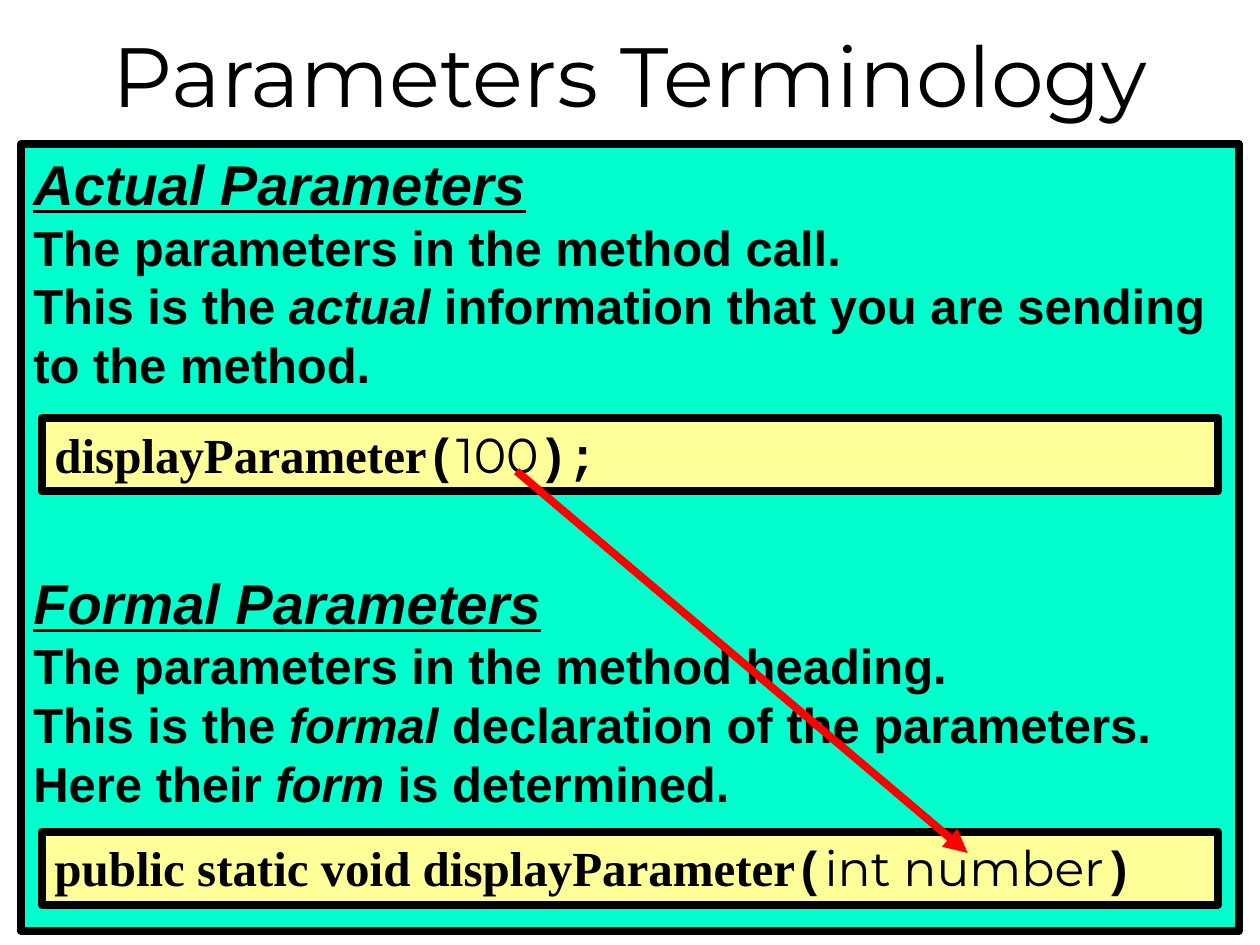
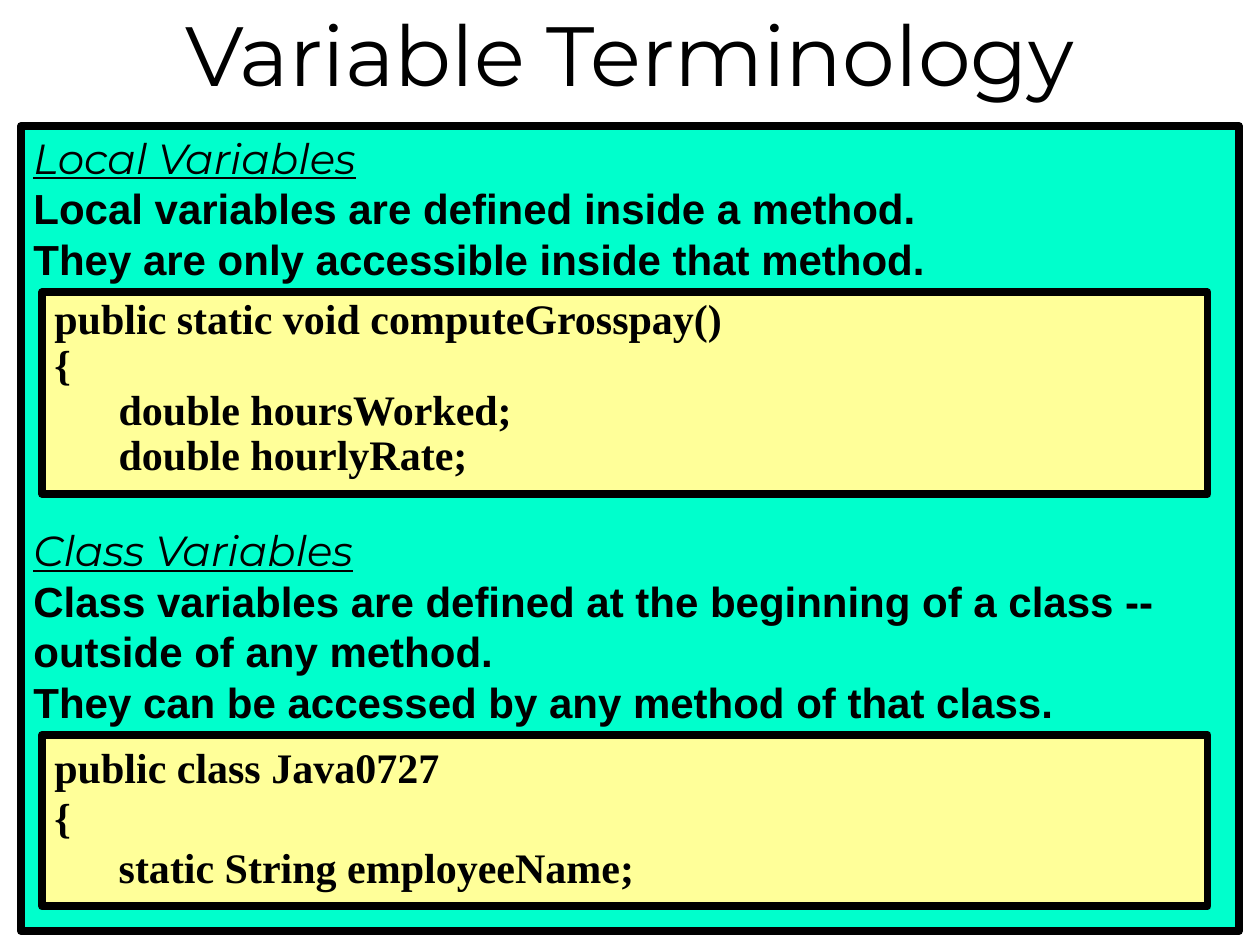
"""Build two slides on parameter and variable terminology."""
from dataclasses import dataclass

from lxml import etree
from pptx import Presentation
from pptx.dml.color import RGBColor
from pptx.enum.shapes import MSO_CONNECTOR, MSO_SHAPE
from pptx.enum.text import MSO_ANCHOR, PP_ALIGN
from pptx.oxml.ns import qn
from pptx.util import Inches, Pt

RECTANGLE = MSO_SHAPE.RECTANGLE
STRAIGHT = MSO_CONNECTOR.STRAIGHT
TOP, MIDDLE = MSO_ANCHOR.TOP, MSO_ANCHOR.MIDDLE
LEFT, CENTER = PP_ALIGN.LEFT, PP_ALIGN.CENTER

COLORS = {"ink": "000000", "panel": "00FFCC", "code": "FFFF99", "arrow": "FF0000"}
DISPLAY, BODY, CODE, MONO = "Montserrat", "Arial", "Times New Roman", "Courier New"
SLIDE_WIDTH, SLIDE_HEIGHT = Inches(10), Inches(7.5)
COLUMNS, ROWS = 60, 45
LINE_WIDTH = Pt(4.5)
CODE_INDENT = Inches(0.51)


@dataclass(frozen=True)
class Run:
    """A stretch of text in one style."""
    text: str
    font: str = BODY
    bold: bool = True
    italic: bool = False
    underline: bool = False


@dataclass(frozen=True)
class Line:
    """A paragraph with its size and spacing in points."""
    runs: tuple[Run, ...]
    size: float
    gap: float = 0
    spacing: float = 1.0
    indented: bool = False
    align: PP_ALIGN = LEFT


@dataclass(frozen=True)
class Box:
    """A rectangle of text placed in grid columns and rows."""
    left: float
    top: float
    width: float
    height: float
    lines: tuple[Line, ...]


@dataclass(frozen=True)
class Arrow:
    """An arrow between two grid points."""
    start: tuple[float, float]
    end: tuple[float, float]


@dataclass(frozen=True)
class Topic:
    """The content of one slide."""
    title: str
    title_rows: float
    panel: Box
    code_boxes: tuple[Box, ...]
    arrows: tuple[Arrow, ...] = ()


def across(columns: float) -> int:
    """Convert grid columns to a length."""
    return round(SLIDE_WIDTH * columns / COLUMNS)


def down(rows: float) -> int:
    """Convert grid rows to a length."""
    return round(SLIDE_HEIGHT * rows / ROWS)


def color(name: str) -> RGBColor:
    """Look up a shared colour."""
    return RGBColor.from_string(COLORS[name])


def heading(text: str, size: float, font: str, bold: bool, gap: float = 0) -> Line:
    """Make an underlined italic heading."""
    return Line((Run(text, font, bold, True, True),), size, gap)


def body(size: float, *texts: str) -> Line:
    """Make a bold paragraph whose every second text is italic."""
    return Line(tuple(Run(text, italic=index % 2 == 1)
                      for index, text in enumerate(texts)), size)


def code(text: str, spacing: float = 1.0, indented: bool = False) -> Line:
    """Make a line of code."""
    return Line((Run(text, CODE),), 24, spacing=spacing, indented=indented)


def signature(name: str, argument: str, closing: str) -> Line:
    """Make a method name with its argument set apart."""
    return Line((Run(name, CODE), Run("(", MONO),
                 Run(argument, DISPLAY, bold=False), Run(closing, MONO)), 28)


def write_lines(shape, lines: tuple[Line, ...], anchor: MSO_ANCHOR) -> None:
    """Fill a shape with paragraphs, run by run."""
    frame = shape.text_frame
    frame.word_wrap = True
    frame.vertical_anchor = anchor
    for index, line in enumerate(lines):
        paragraph = frame.paragraphs[0] if index == 0 else frame.add_paragraph()
        paragraph.alignment = line.align
        paragraph.space_before = Pt(line.gap)
        paragraph.line_spacing = line.spacing
        if line.indented:
            paragraph._p.get_or_add_pPr().set("marL", str(CODE_INDENT))
        for part in line.runs:
            run = paragraph.add_run()
            run.text = part.text
            run.font.name = part.font
            run.font.size = Pt(line.size)
            run.font.bold = part.bold
            run.font.italic = part.italic
            run.font.underline = part.underline
            run.font.color.rgb = color("ink")


def draw_title(slide, topic: Topic) -> None:
    """Draw the centred title across the slide."""
    shape = slide.shapes.add_textbox(0, 0, SLIDE_WIDTH, down(topic.title_rows))
    title = Line((Run(topic.title, DISPLAY, bold=False),), 48, align=CENTER)
    write_lines(shape, (title,), MIDDLE)


def draw_box(slide, box: Box, fill: str) -> None:
    """Draw a bordered rectangle with its text."""
    shape = slide.shapes.add_shape(RECTANGLE, across(box.left), down(box.top),
                                   across(box.width), down(box.height))
    shape.shadow.inherit = False
    shape.fill.solid()
    shape.fill.fore_color.rgb = color(fill)
    shape.line.color.rgb = color("ink")
    shape.line.width = LINE_WIDTH
    write_lines(shape, box.lines, TOP)


def draw_arrow(slide, arrow: Arrow) -> None:
    """Draw a straight arrow with a triangular head."""
    connector = slide.shapes.add_connector(
        STRAIGHT, across(arrow.start[0]), down(arrow.start[1]),
        across(arrow.end[0]), down(arrow.end[1]))
    connector.line.color.rgb = color("arrow")
    connector.line.width = LINE_WIDTH
    etree.SubElement(connector.line._get_or_add_ln(), qn("a:tailEnd"), type="triangle")
    etree.SubElement(connector._element.spPr, qn("a:effectLst"))


def draw_topic(presentation, topic: Topic) -> None:
    """Add a slide and draw a topic on it."""
    slide = presentation.slides.add_slide(presentation.slide_layouts[6])
    draw_title(slide, topic)
    draw_box(slide, topic.panel, "panel")
    for box in topic.code_boxes:
        draw_box(slide, box, "code")
    for arrow in topic.arrows:
        draw_arrow(slide, arrow)


TOPICS = (
    Topic(
        "Parameters Terminology", 7,
        Box(1, 6.84, 58, 37.5, (
            heading("Actual Parameters", 32, BODY, True),
            body(28, "The parameters in the method call."),
            body(28, "This is the ", "actual",
                 " information that you are sending to the method."),
            heading("Formal Parameters", 32, BODY, True, gap=100),
            body(28, "The parameters in the method heading."),
            body(28, "This is the ", "formal",
                 " declaration of the parameters. Here their ", "form",
                 " is determined."),
        )),
        (
            Box(2, 19.92, 56, 3.48, (signature("displayParameter", "100", ");"),)),
            Box(2, 39.6, 56, 3.48, (
                signature("public static void displayParameter", "int number", ")"),)),
        ),
        (Arrow((24.6, 22.44), (46.08, 40.62)),),
    ),
    Topic(
        "Variable Terminology", 5,
        Box(1, 6, 58, 38.34, (
            heading("Local Variables", 24, DISPLAY, False),
            body(24, "Local variables are defined inside a method."),
            body(24, "They are only accessible inside that method."),
            heading("Class Variables", 24, DISPLAY, False, gap=138),
            body(24, "Class variables are defined at the beginning of a class -- "
                     "outside of any method."),
            body(24, "They can be accessed by any method of that class."),
        )),
        (
            Box(2, 13.92, 55.5, 9.6, (
                code("public static void computeGrosspay()", 0.9),
                code("{", 0.9),
                code("double hoursWorked;", 0.9, indented=True),
                code("double hourlyRate;", 0.9, indented=True),
            )),
            Box(2, 35, 55.5, 8.16, (
                code("public class Java0727"),
                code("{"),
                code("static String employeeName;", indented=True),
            )),
        ),
    ),
)


def main() -> None:
    """Build and save the presentation."""
    presentation = Presentation()
    presentation.slide_width = SLIDE_WIDTH
    presentation.slide_height = SLIDE_HEIGHT
    for topic in TOPICS:
        draw_topic(presentation, topic)
    presentation.save("out.pptx")


if __name__ == "__main__":
    main()
